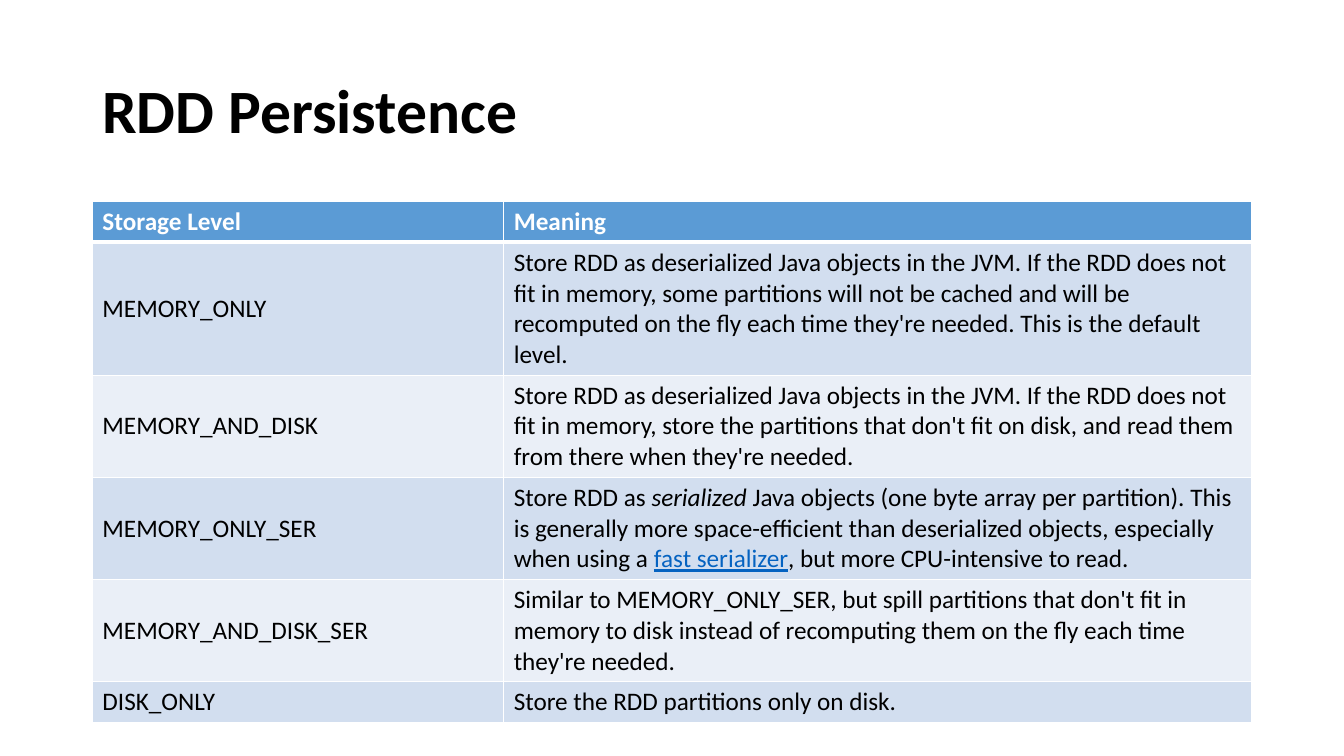
"""Build the RDD Persistence slide with its table of storage levels."""
import dataclasses

import lxml.etree
import pptx
import pptx.dml.color
import pptx.enum.text
import pptx.oxml
import pptx.oxml.ns
import pptx.util

Pt = pptx.util.Pt


@dataclasses.dataclass(frozen=True)
class Theme:
    font: str = "Calibri"
    title_size: float = 44
    body_size: float = 18
    text: str = "000000"
    light: str = "FFFFFF"
    header: str = "5B9BD5"
    bands: tuple = ("D2DEEF", "EAEFF7")
    link: str = "0563C1"


THEME = Theme()
HEADINGS = ("Storage Level", "Meaning")
LEVELS = [
    ("MEMORY_ONLY", 4, [("Store RDD as deserialized Java objects in the JVM. If the RDD does not fit in memory, some partitions will not be cached and will be recomputed on the fly each time they're needed. This is the default level.", {})]),
    ("MEMORY_AND_DISK", 3, [("Store RDD as deserialized Java objects in the JVM. If the RDD does not fit in memory, store the partitions that don't fit on disk, and read them from there when they're needed.", {})]),
    ("MEMORY_ONLY_SER", 3, [
        ("Store RDD as ", {}),
        ("serialized", {"italic": True}),
        (" Java objects (one byte array per partition). This is generally more space-efficient than deserialized objects, especially when using a ", {}),
        ("fast serializer", {"color": THEME.link, "underline": True}),
        (", but more CPU-intensive to read.", {}),
    ]),
    ("MEMORY_AND_DISK_SER", 3, [("Similar to MEMORY_ONLY_SER, but spill partitions that don't fit in memory to disk instead of recomputing them on the fly each time they're needed.", {})]),
    ("DISK_ONLY", 1, [("Store the RDD partitions only on disk.", {})]),
]


def add_text(paragraph, text, size=THEME.body_size, color=THEME.text,
             bold=False, italic=False, underline=False):
    """Append a formatted run to a paragraph."""
    run = paragraph.add_run()
    run.text = text
    font = run.font
    font.name, font.size = THEME.font, Pt(size)
    font.bold, font.italic, font.underline = bold, italic, underline
    font.color.rgb = pptx.dml.color.RGBColor.from_string(color)


class SlideBuilder:
    """Hold the theme and the current slide."""

    def __init__(self, slide, theme):
        self.slide = slide
        self.theme = theme

    def title(self, text, left, top, width, height):
        """Add the slide title."""
        frame = self.slide.shapes.add_textbox(Pt(left), Pt(top), Pt(width), Pt(height)).text_frame
        frame.word_wrap = True
        frame.vertical_anchor = pptx.enum.text.MSO_ANCHOR.MIDDLE
        paragraph = frame.paragraphs[0]
        paragraph.line_spacing = 0.9
        add_text(paragraph, text, size=self.theme.title_size, bold=True)

    def borders(self, cell, **widths):
        """Draw solid borders on a cell, given widths by side letter."""
        properties = cell._tc.get_or_add_tcPr()
        for side, width in widths.items():
            line = lxml.etree.SubElement(
                properties, pptx.oxml.ns.qn(f"a:ln{side}"), w=str(Pt(width)))
            fill = lxml.etree.SubElement(line, pptx.oxml.ns.qn("a:solidFill"))
            lxml.etree.SubElement(fill, pptx.oxml.ns.qn("a:srgbClr"), val=self.theme.light)

    def cell(self, cell, runs, fill, top=1, bottom=1):
        """Fill one table cell with formatted runs."""
        self.borders(cell, L=1, R=1, T=top, B=bottom)
        cell.fill.solid()
        cell.fill.fore_color.rgb = pptx.dml.color.RGBColor.from_string(fill)
        cell.vertical_anchor = pptx.enum.text.MSO_ANCHOR.MIDDLE
        for text, style in runs:
            add_text(cell.text_frame.paragraphs[0], text, **style)

    def table(self, headings, levels, left, top, widths):
        """Add the table, with each row as tall as its lines of text."""
        heights = [7 + 22 * lines for lines in [1] + [level[1] for level in levels]]
        table = self.slide.shapes.add_table(
            len(heights), len(widths), Pt(left), Pt(top), Pt(sum(widths)), Pt(sum(heights))).table
        for column, width in zip(table.columns, widths):
            column.width = Pt(width)
        for row, height in zip(table.rows, heights):
            row.height = Pt(height)
        for index, heading in enumerate(headings):
            runs = [(heading, {"color": self.theme.light, "bold": True})]
            self.cell(table.cell(0, index), runs, self.theme.header, bottom=3)
        for row, (name, _, meaning) in enumerate(levels, 1):
            band = self.theme.bands[(row - 1) % 2]
            for index, runs in enumerate(([(name, {})], meaning)):
                self.cell(table.cell(row, index), runs, band, top=3 if row == 1 else 1)


def main():
    """Build and save the presentation."""
    presentation = pptx.Presentation()
    presentation.slide_width, presentation.slide_height = Pt(960), Pt(540)
    slide = presentation.slides.add_slide(presentation.slide_layouts[6])
    builder = SlideBuilder(slide, THEME)
    builder.title("RDD Persistence", 66, 28.75, 828, 104.4)
    builder.table(HEADINGS, LEVELS, 66, 144, (293.8, 534.2))
    presentation.save("out.pptx")


if __name__ == "__main__":
    main()
